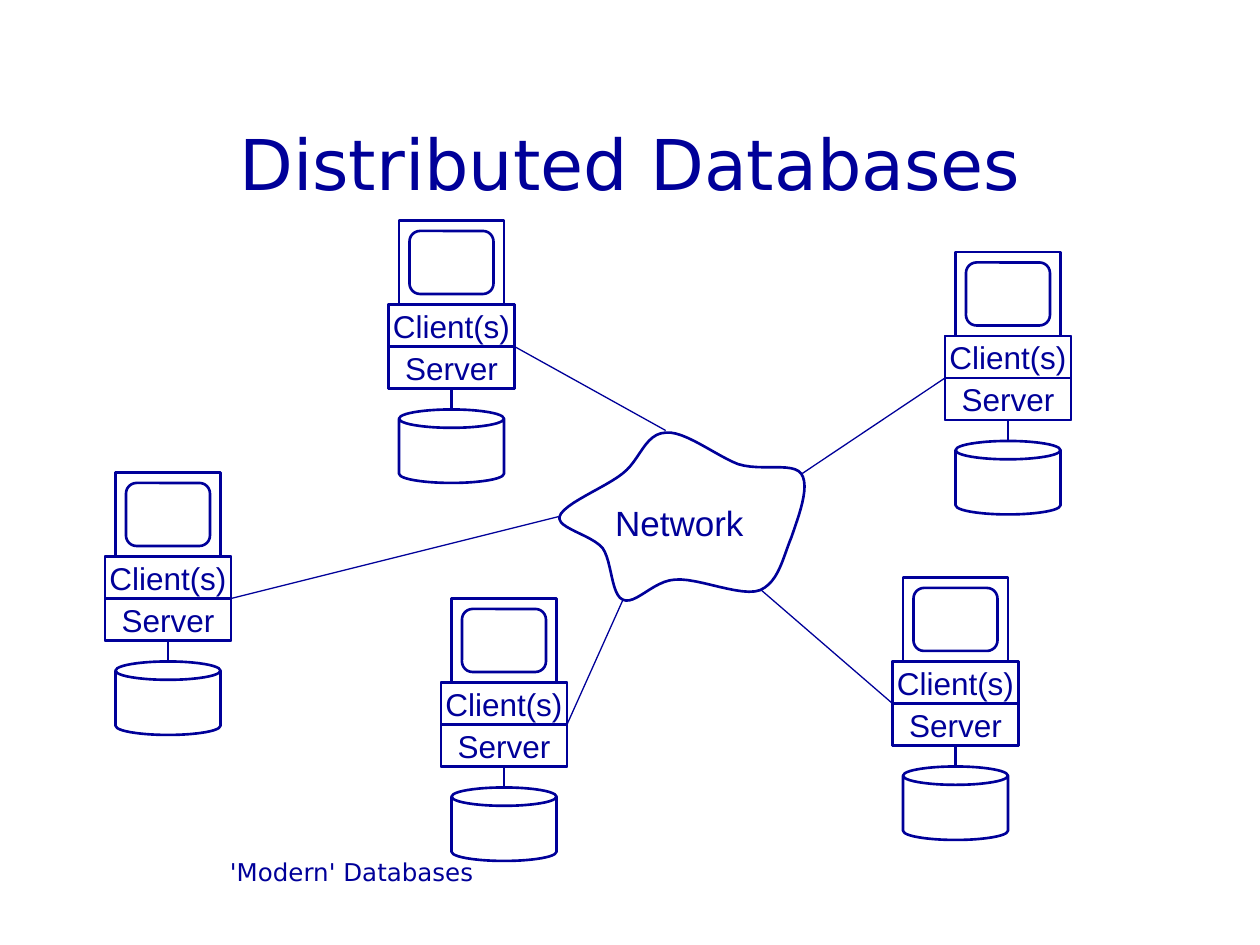
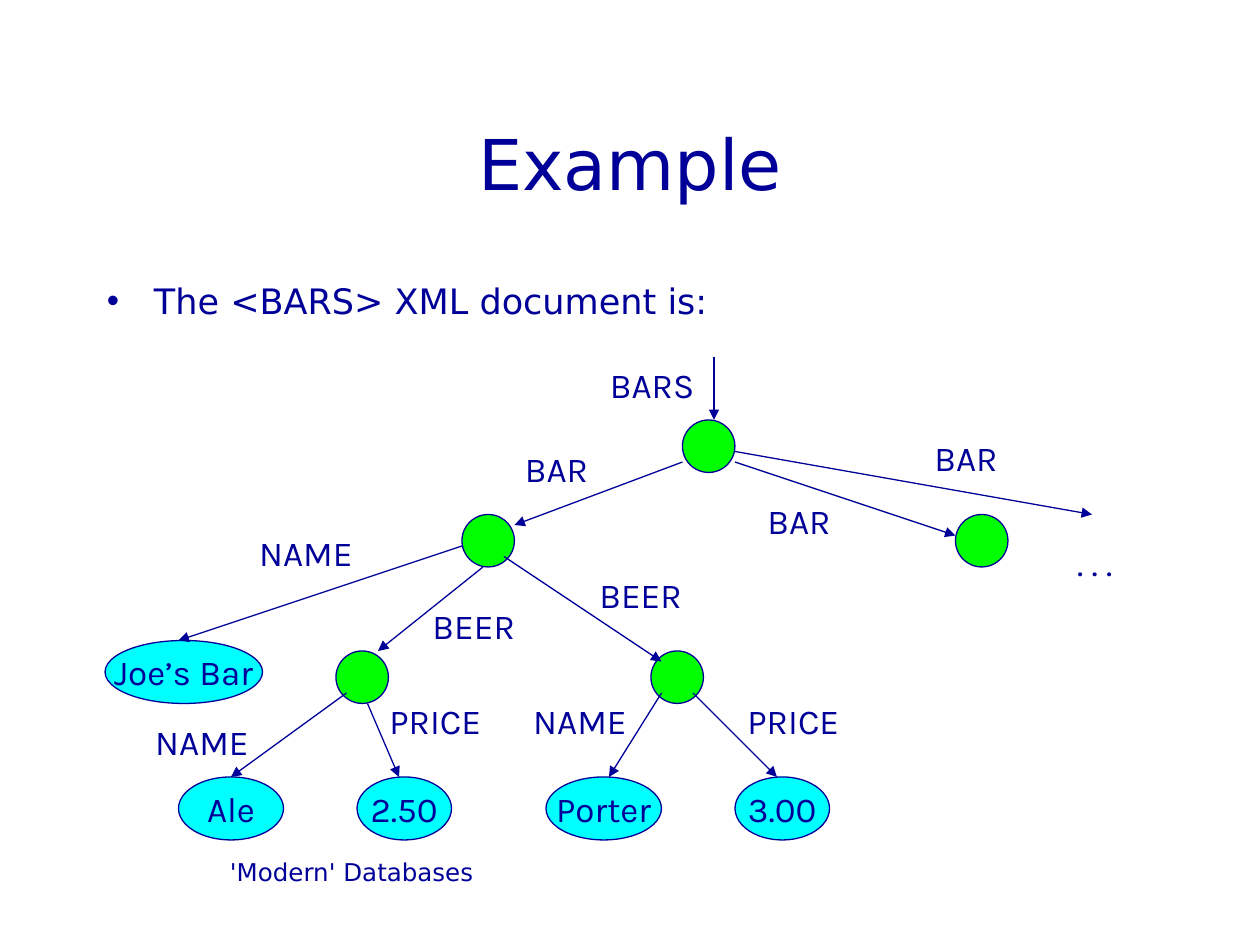
from lxml.etree import SubElement
from pptx import Presentation
from pptx.dml.color import RGBColor
from pptx.enum.shapes import MSO_CONNECTOR as Wire, MSO_SHAPE as Kind
from pptx.enum.text import MSO_ANCHOR as Anchor, PP_ALIGN as Align
from pptx.oxml.ns import qn
from pptx.util import Cm, Pt

NAVY = RGBColor(0x00, 0x00, 0x99)
GREEN = RGBColor(0x00, 0xFF, 0x00)
CYAN = RGBColor(0x00, 0xFF, 0xFF)
SANS, ARIAL, KARLA = "DejaVu Sans", "Arial", "Karla"
CELL = 2.54 / 12  # all places below count cells of this many cm


def put(slide, kind, place, text="", face=ARIAL, size=18, fill=None,
        weight=1.5, align=Align.CENTER, anchor=Anchor.MIDDLE, wrap=False):
    """Add a shape, or a text box when kind is None."""
    place = [Cm(n * CELL) for n in place]
    if kind is None:
        shape = slide.shapes.add_textbox(*place)
    else:
        shape = slide.shapes.add_shape(kind, *place)
        shape.shadow.inherit = False
        shape.line.color.rgb = NAVY
        shape.line.width = Pt(weight)
        if fill is None:
            shape.fill.background()
        else:
            shape.fill.solid()
            shape.fill.fore_color.rgb = fill
    if text:
        frame = shape.text_frame
        frame.text = text
        frame.word_wrap = wrap
        frame.vertical_anchor = anchor
        para = frame.paragraphs[0]
        para.alignment = align
        font = para.runs[0].font
        font.name, font.size, font.color.rgb = face, Pt(size), NAVY
    return shape


def link(slide, ends, weight=0.75, arrow=False):
    """Add a straight line, with an arrowhead at its end if asked."""
    wire = slide.shapes.add_connector(
        Wire.STRAIGHT, *[Cm(n * CELL) for n in ends])
    wire.line.color.rgb = NAVY
    wire.line.width = Pt(weight)
    props = wire._element.spPr
    if arrow:
        SubElement(props.find(qn("a:ln")), qn("a:tailEnd"), type="triangle")
    SubElement(props, qn("a:effectLst"))
    return wire


deck = Presentation()
deck.slide_width, deck.slide_height = Cm(25.4), Cm(19.05)

# Footer and title on every slide
pages = []
for title in ("Distributed Databases", "Example"):
    page = deck.slides.add_slide(deck.slide_layouts[6])
    put(page, None, (9, 81, 49, 6), "'Modern' Databases", SANS, 14,
        anchor=Anchor.TOP, wrap=True)
    put(page, None, (9, 8, 102, 15), title, SANS, 40, wrap=True)
    pages.append(page)
net, tree = pages

# Network cloud: a start point, then two handles and an end per curve
start = (53.3, 49.2)
curves = [
    ((53.6, 48), (57.7, 46.4), (59.3, 45.1)),
    ((61, 43.8), (61.4, 41.3), (63.4, 41.2)),
    ((65.2, 41), (68.2, 43.4), (70.3, 44.2)),
    ((72.5, 44.9), (75.5, 44), (76.3, 45.1)),
    ((77.2, 46.3), (76, 49.3), (75.4, 51.1)),
    ((74.6, 53), (74.2, 55.4), (72.4, 56.2)),
    ((70.6, 56.9), (66.5, 55), (64.3, 55.2)),
    ((62.2, 55.3), (60.5, 57.7), (59.3, 57.1)),
    ((58.2, 56.6), (58.3, 53.5), (57.4, 52.2)),
    ((56.3, 50.9), (53, 50.3), start),
]
STEPS = 12
dots = [start]
for one, two, end in curves:
    first = dots[-1]
    for step in range(1, STEPS + 1):
        t = step / STEPS
        u = 1 - t
        dots.append(tuple(
            u**3 * a + 3 * u * u * t * b + 3 * u * t * t * c + t**3 * d
            for a, b, c, d in zip(first, one, two, end)))
dots = [(Cm(x * CELL), Cm(y * CELL)) for x, y in dots]
pen = net.shapes.build_freeform(*dots[0])
pen.add_line_segments(dots[1:], close=True)
cloud = pen.convert_to_shape()
cloud.shadow.inherit = False
cloud.fill.background()
cloud.line.color.rgb = NAVY
cloud.line.width = Pt(1.5)
put(net, None, (56.7, 47.2, 16, 5.3), "Network", size=20,
    anchor=Anchor.TOP)

# Computers: corner, side that faces the cloud, point on the cloud
sites = [
    (10, 45, 3, 53.2, 49.2),
    (37, 21, 3, 63.4, 41),
    (42, 57, 3, 59.3, 57.2),
    (85, 55, 1, 72.5, 56.2),
    (90, 24, 1, 76.4, 45.1),
]
for x, y, side, far_x, far_y in sites:
    put(net, Kind.ROUNDED_RECTANGLE, (x + 2, y + 1, 8, 6))
    put(net, Kind.RECTANGLE, (x + 1, y, 10, 8))
    put(net, Kind.RECTANGLE, (x, y + 8, 12, 4), "Client(s)")
    put(net, Kind.RECTANGLE, (x, y + 12, 12, 4), "Server")
    put(net, Kind.CAN, (x + 1, y + 18, 10, 7))
    case = put(net, Kind.RECTANGLE, (x, y + 8, 12, 8))
    stem = link(net, (x + 6, y + 16, x + 6, y + 18), 1.5)
    stem.begin_connect(case, 2)
    wire = link(net, (x, y + 12, far_x, far_y))
    wire.begin_connect(case, side)

# Bullet above the tree
body = put(tree, None, (9, 26, 102, 54), "The <BARS> XML document is:", SANS,
           20, align=Align.LEFT, anchor=Anchor.TOP, wrap=True)
props = body.text_frame.paragraphs[0]._p.get_or_add_pPr()
props.set("marL", str(Cm(0.95)))
props.set("indent", str(-Cm(0.95)))
SubElement(props, qn("a:buFont"), typeface=ARIAL)
SubElement(props, qn("a:buChar"), char="•")

# Inner nodes
for x, y in ((65, 40), (62, 62), (32, 62), (91, 49), (44, 49)):
    put(tree, Kind.OVAL, (x, y, 5, 5), fill=GREEN, weight=0.75)

# Leaves
leaves = [
    ("Joe’s Bar", 10, 61, 15),
    ("Ale", 17, 74, 10),
    ("2.50", 34, 74, 9),
    ("Porter", 52, 74, 11),
    ("3.00", 70, 74, 9),
]
for text, x, y, wide in leaves:
    put(tree, Kind.OVAL, (x, y, wide, 6), text, KARLA, 20, CYAN, 0.75)

# Edges
edges = [
    (68, 34, 68, 40), (65, 44, 49, 50), (70, 44, 91, 51), (70, 43, 104, 49),
    (44, 52, 17, 61), (46, 54, 36, 62), (48, 53, 63, 63), (33, 66, 22, 74),
    (35, 67, 38, 74), (63, 66, 58, 74), (66, 66, 74, 74),
]
for ends in edges:
    link(tree, ends, arrow=True)

# Edge labels: width, then the corners where each one stands
labels = {
    "PRICE": (11.5, [(70, 66), (35.9, 66)]),
    "BAR": (8.8, [(71.9, 47), (48.8, 42), (87.8, 41)]),
    "BARS": (10.6, [(56.9, 34)]),
    "NAME": (11.9, [(23.5, 50), (13.6, 68), (49.6, 66)]),
    "BEER": (10.3, [(55.9, 54), (40, 57)]),
    ". . .": (6.8, [(101.4, 51)]),
}
for text, (wide, spots) in labels.items():
    for x, y in spots:
        put(tree, None, (x, y, wide, 5.3), text, KARLA, 20,
            align=Align.LEFT, anchor=Anchor.TOP)

deck.save("out.pptx")
